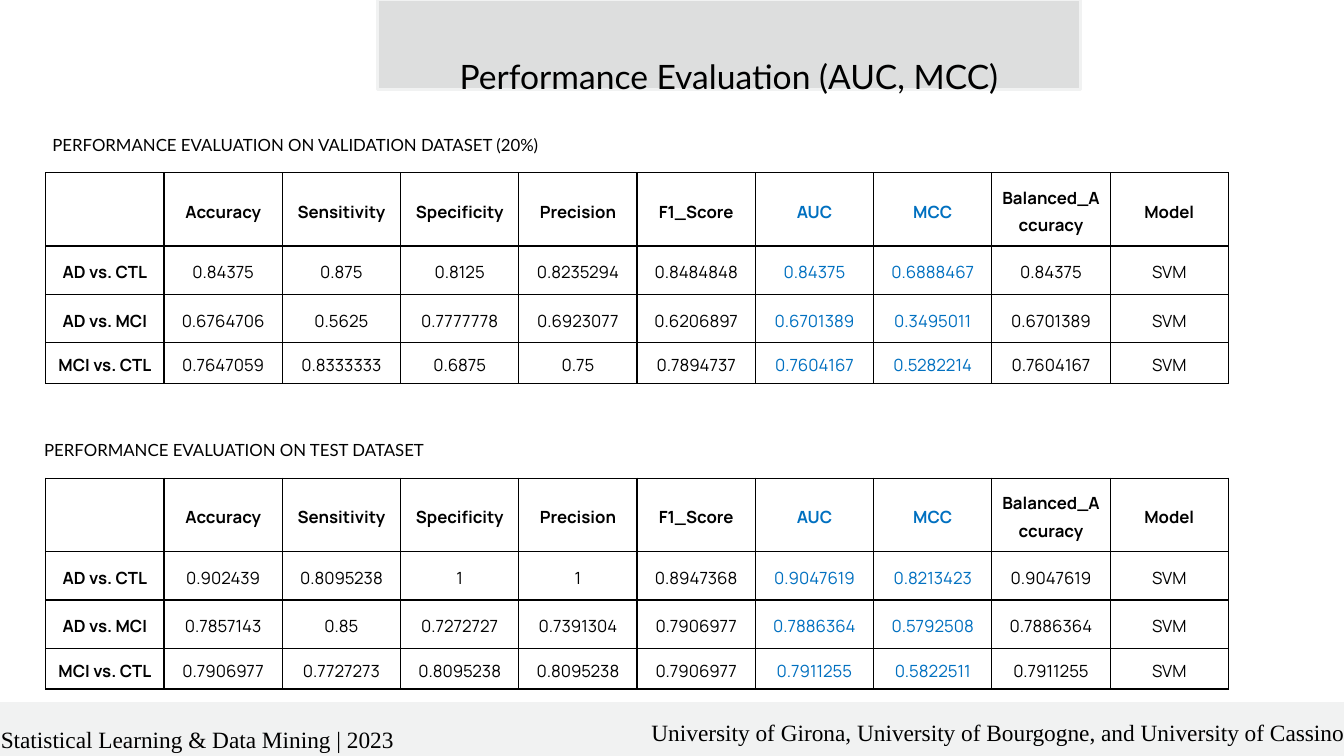
from dataclasses import dataclass

from lxml.etree import SubElement
from pptx import Presentation
from pptx.dml.color import RGBColor
from pptx.enum.shapes import MSO_SHAPE
from pptx.enum.text import MSO_ANCHOR, MSO_AUTO_SIZE, PP_ALIGN
from pptx.oxml.ns import qn
from pptx.util import Cm, Pt


@dataclass(frozen=True)
class Theme:
    ink: str = "000000"
    accent: str = "0070C0"
    panel: str = "DDDEDE"
    pale: str = "F1F2F2"
    heading_font: str = "Lato"
    table_font: str = "Manrope"
    footer_font: str = "Times New Roman"
    title_size: float = 36
    footer_size: float = 25
    body_size: float = 18


HEADERS = ["", "Accuracy", "Sensitivity", "Specificity", "Precision", "F1_Score",
           "AUC", "MCC", "Balanced_Accuracy", "Model"]
HIGHLIGHTED = {"AUC", "MCC"}
ROW_HEIGHTS = [2.77, 1.83, 1.83, 1.5]
COLUMN_WIDTH = 4.47

VALIDATION = [
    ["AD vs. CTL", "0.84375", "0.875", "0.8125", "0.8235294", "0.8484848",
     "0.84375", "0.6888467", "0.84375", "SVM"],
    ["AD vs. MCI", "0.6764706", "0.5625", "0.7777778", "0.6923077", "0.6206897",
     "0.6701389", "0.3495011", "0.6701389", "SVM"],
    ["MCI vs. CTL", "0.7647059", "0.8333333", "0.6875", "0.75", "0.7894737",
     "0.7604167", "0.5282214", "0.7604167", "SVM"],
]
TEST = [
    ["AD vs. CTL", "0.902439", "0.8095238", "1", "1", "0.8947368",
     "0.9047619", "0.8213423", "0.9047619", "SVM"],
    ["AD vs. MCI", "0.7857143", "0.85", "0.7272727", "0.7391304", "0.7906977",
     "0.7886364", "0.5792508", "0.7886364", "SVM"],
    ["MCI vs. CTL", "0.7906977", "0.7727273", "0.8095238", "0.8095238", "0.7906977",
     "0.7911255", "0.5822511", "0.7911255", "SVM"],
]


def write(tf, text, font, size, color, bold=False, align=PP_ALIGN.LEFT, spacing=None):
    p = tf.paragraphs[0]
    p.alignment = align
    if spacing:
        p.line_spacing = Pt(spacing)
    r = p.add_run()
    r.text = text
    r.font.name = font
    r.font.size = Pt(size)
    r.font.bold = bold
    r.font.color.rgb = RGBColor.from_string(color)


class Deck:
    def __init__(self, theme):
        self.theme = theme
        self.prs = Presentation()
        self.prs.slide_width = Cm(50.8)
        self.prs.slide_height = Cm(28.58)
        self.s = self.prs.slides.add_slide(self.prs.slide_layouts[5])

    def band(self, x, y, w, h, fill, line=None):
        sp = self.s.shapes.add_shape(MSO_SHAPE.RECTANGLE, Cm(x), Cm(y), Cm(w), Cm(h))
        sp.shadow.inherit = False
        sp.fill.solid()
        sp.fill.fore_color.rgb = RGBColor.from_string(fill)
        if line:
            sp.line.color.rgb = RGBColor.from_string(line)
            sp.line.width = Pt(3)
        else:
            sp.line.fill.background()

    def frame(self, sp, inset):
        tf = sp.text_frame
        tf.word_wrap = True
        tf.auto_size = MSO_AUTO_SIZE.NONE
        tf.vertical_anchor = MSO_ANCHOR.TOP
        if not inset:
            tf.margin_left = tf.margin_right = tf.margin_top = tf.margin_bottom = 0
        return tf

    def title(self, x, y, w, h, text):
        sp = self.s.shapes.title
        sp.left, sp.top, sp.width, sp.height = Cm(x), Cm(y), Cm(w), Cm(h)
        self.s.shapes._spTree.append(sp._element)
        write(self.frame(sp, False), text, self.theme.heading_font, self.theme.title_size,
              self.theme.ink, align=PP_ALIGN.CENTER, spacing=92.5)

    def text(self, x, y, w, h, text, font, size, inset=False, **style):
        sp = self.s.shapes.add_textbox(Cm(x), Cm(y), Cm(w), Cm(h))
        write(self.frame(sp, inset), text, font, size, self.theme.ink, **style)

    def caption(self, x, y, w, text):
        self.text(x, y, w, 1.02, text, self.theme.heading_font, self.theme.body_size, inset=True)

    def footer(self, x, y, w, text, align):
        self.text(x, y, w, 1.73, text, self.theme.footer_font, self.theme.footer_size,
                  align=align, spacing=50)

    def border(self, cell):
        tcPr = cell._tc.get_or_add_tcPr()
        for i, side in enumerate(("a:lnL", "a:lnR", "a:lnT", "a:lnB")):
            ln = tcPr.makeelement(qn(side), {"w": str(Pt(1.5))})
            tcPr.insert(i, ln)
            fill = SubElement(ln, qn("a:solidFill"))
            SubElement(fill, qn("a:srgbClr"), val=self.theme.ink)

    def table(self, x, y, rows):
        grid = [HEADERS, *rows]
        table = self.s.shapes.add_table(
            len(grid), len(HEADERS), Cm(x), Cm(y),
            Cm(COLUMN_WIDTH * len(HEADERS)), Cm(sum(ROW_HEIGHTS))).table
        table.horz_banding = False
        for column in table.columns:
            column.width = Cm(COLUMN_WIDTH)
        for i, values in enumerate(grid):
            table.rows[i].height = Cm(ROW_HEIGHTS[i])
            for j, value in enumerate(values):
                cell = table.cell(i, j)
                cell.fill.background()
                self.border(cell)
                cell.vertical_anchor = MSO_ANCHOR.MIDDLE
                cell.margin_left = cell.margin_right = Cm(0.25)
                cell.margin_top = cell.margin_bottom = Cm(0.25)
                if value:
                    color = self.theme.accent if HEADERS[j] in HIGHLIGHTED else self.theme.ink
                    write(cell.text_frame, value, self.theme.table_font, self.theme.body_size,
                          color, bold=i == 0 or j == 0, align=PP_ALIGN.CENTER, spacing=29.4)


def main():
    theme = Theme()
    deck = Deck(theme)
    deck.band(14.27, 0, 26.57, 3.38, theme.panel, line=theme.pale)
    deck.band(0, 26.54, 50.8, 2.04, theme.pale)
    deck.title(14.78, 0.38, 25.55, 2.79, "Performance Evaluation (AUC, MCC)")
    deck.footer(0.03, 26.7, 19.35, "Statistical Learning & Data Mining | 2023", PP_ALIGN.LEFT)
    deck.footer(20.95, 26.44, 29.85,
                "University of Girona, University of Bourgogne, and University of Cassino",
                PP_ALIGN.RIGHT)
    deck.table(1.73, 6.53, VALIDATION)
    deck.caption(1.73, 4.98, 20.45, "PERFORMANCE EVALUATION ON VALIDATION DATASET (20%)")
    deck.caption(1.42, 16.51, 16.13, "PERFORMANCE EVALUATION ON TEST DATASET")
    deck.table(1.73, 18.08, TEST)
    deck.prs.save("out.pptx")


if __name__ == "__main__":
    main()
